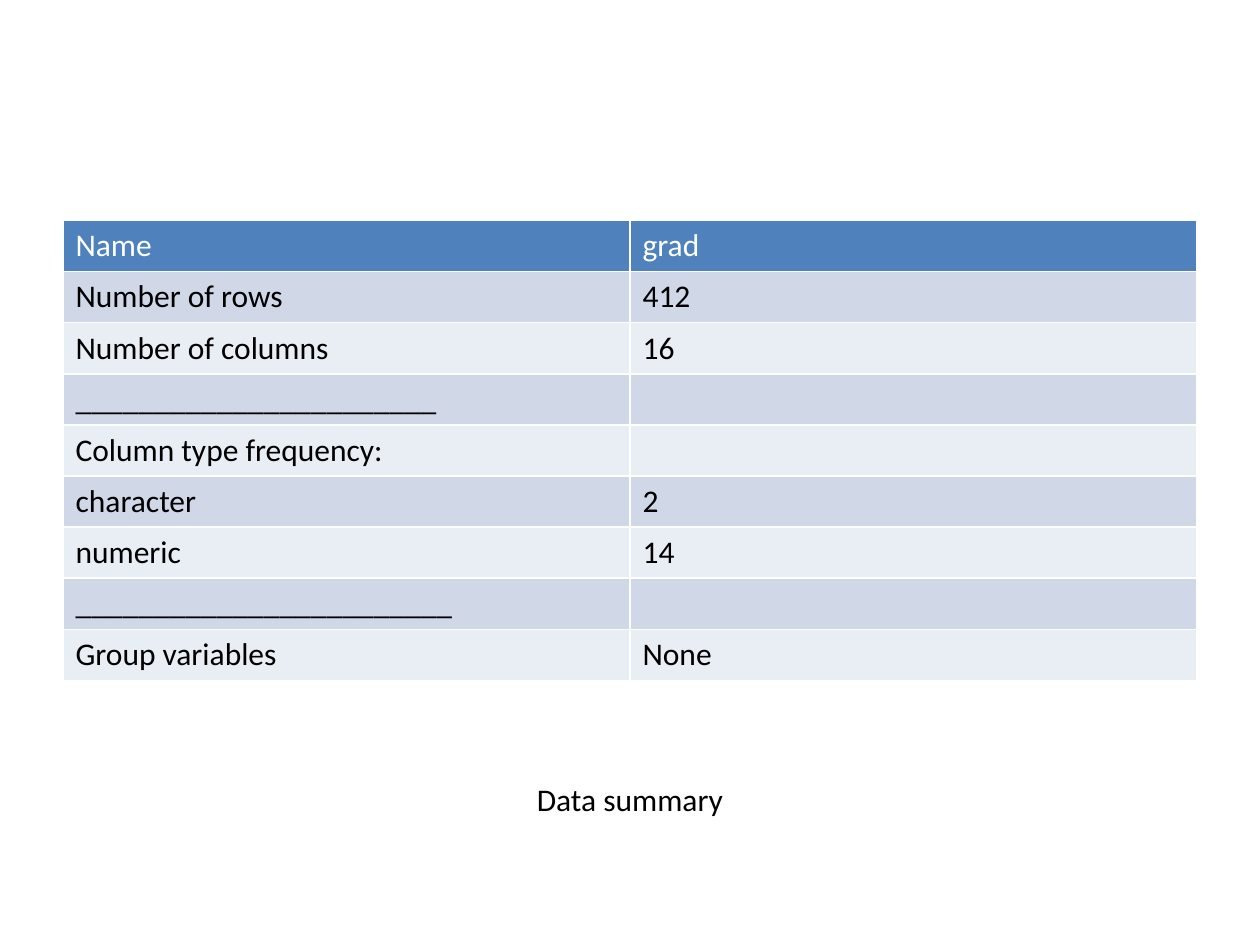
from typing import NamedTuple

from pptx import Presentation
from pptx.dml.color import RGBColor
from pptx.enum.text import PP_ALIGN
from pptx.util import Pt

LEFT, WIDTH = 36, 648
TABLE_TOP, ROW_HEIGHT = 126, 29.2
CAPTION_TOP, CAPTION_HEIGHT = 442, 40
HEADER_FILL, BAND_FILLS = "4F81BD", ("E9EDF4", "D0D8E8")


class Entry(NamedTuple):
    label: str
    value: str = ""


ENTRIES = [
    Entry("Name", "grad"),
    Entry("Number of rows", "412"),
    Entry("Number of columns", "16"),
    Entry("_" * 23),
    Entry("Column type frequency:"),
    Entry("character", "2"),
    Entry("numeric", "14"),
    Entry("_" * 24),
    Entry("Group variables", "None"),
]


def paint(color_format, color: str) -> None:
    color_format.rgb = RGBColor.from_string(color)


def write(tf, text: str, color: str) -> None:
    tf.text = text
    for r in tf.paragraphs[0].runs:
        r.font.name = "Calibri"
        r.font.size = Pt(18)
        r.font.bold = False
        paint(r.font.color, color)


def draw_summary(s, entries: list[Entry]) -> None:
    columns = len(Entry._fields)
    table = s.shapes.add_table(
        len(entries), columns, Pt(LEFT), Pt(TABLE_TOP),
        Pt(WIDTH), Pt(ROW_HEIGHT * len(entries)),
    ).table
    for column in table.columns:
        column.width = Pt(WIDTH / columns)
    for i, entry in enumerate(entries):
        table.rows[i].height = Pt(ROW_HEIGHT)
        fill = BAND_FILLS[i % 2] if i else HEADER_FILL
        color = "000000" if i else "FFFFFF"
        for j, text in enumerate(entry):
            cell = table.cell(i, j)
            cell.fill.solid()
            paint(cell.fill.fore_color, fill)
            write(cell.text_frame, text, color)


def draw_caption(s, text: str) -> None:
    sp = s.shapes.add_textbox(
        Pt(LEFT), Pt(CAPTION_TOP), Pt(WIDTH), Pt(CAPTION_HEIGHT)
    )
    tf = sp.text_frame
    tf.word_wrap = True
    write(tf, text, "000000")
    tf.paragraphs[0].alignment = PP_ALIGN.CENTER


def main() -> None:
    prs = Presentation()
    prs.slide_width, prs.slide_height = Pt(720), Pt(540)
    s = prs.slides.add_slide(prs.slide_layouts[6])
    draw_summary(s, ENTRIES)
    draw_caption(s, "Data summary")
    prs.save("out.pptx")


if __name__ == "__main__":
    main()
